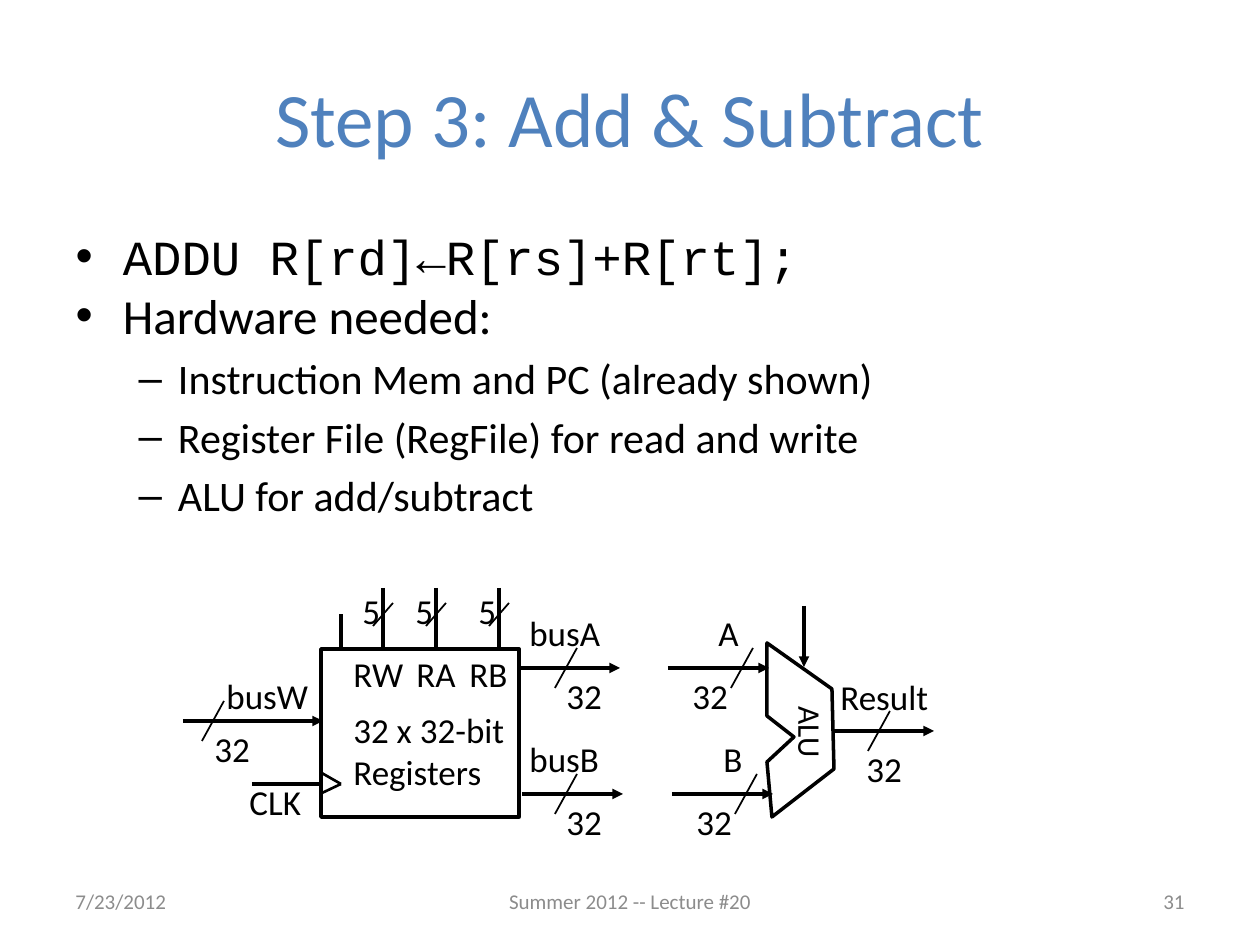
from itertools import pairwise
from lxml import etree
from pptx import Presentation
from pptx import util as u
from pptx.dml.color import RGBColor
from pptx.enum import shapes, text
from pptx.oxml.ns import qn

BLACK = RGBColor(0, 0, 0)
BLUE = RGBColor(0x4F, 0x81, 0xBD)
GRAY = RGBColor(0x8C, 0x8C, 0x8C)
SCALE = u.Inches(1) // 126
LEFT, MID, RIGHT = text.PP_ALIGN.LEFT, text.PP_ALIGN.CENTER, text.PP_ALIGN.RIGHT


def px(*vals):
    """Turn pixels into EMU."""
    return [u.Emu(round(v * SCALE)) for v in vals]


def place(shape, *box):
    """Put a shape in a pixel box."""
    shape.left, shape.top, shape.width, shape.height = px(*box)


def style(para, size, color=BLACK, face="Calibri"):
    """Format every run of a paragraph."""
    for run in para.runs:
        run.font.size, run.font.name = u.Pt(size), face
        run.font.color.rgb = color


def label(slide, words, x, y, w, h=54, size=20, color=BLACK, align=LEFT):
    """Add a text box on one or more unwrapped lines."""
    box = slide.shapes.add_textbox(*px(x, y, w, h))
    frame = box.text_frame
    frame.text = words
    frame.word_wrap = False
    for para in frame.paragraphs:
        para.alignment = align
        style(para, size, color)
    return box


def wire(slide, start, end, width=2, arrow=False):
    """Draw a straight line, with an arrowhead at its end if asked."""
    line = slide.shapes.add_connector(
        shapes.MSO_CONNECTOR.STRAIGHT, *px(*start, *end))
    line.line.color.rgb = BLACK
    line.line.width = u.Pt(width)
    if arrow:
        etree.SubElement(line.line._get_or_add_ln(), qn("a:tailEnd"),
                         type="triangle")
    etree.SubElement(line._element.spPr, qn("a:effectLst"))


def outline(shape):
    """Give a shape a plain black outline."""
    shape.shadow.inherit = False
    shape.fill.background()
    shape.line.color.rgb = BLACK
    shape.line.width = u.Pt(2)


def bus(slide, x, y, length, cut, num, name):
    """Draw a 32-bit bus: arrow, slash at cut, width and name by offset."""
    wire(slide, (x, y), (x + length, y), arrow=True)
    wire(slide, (x + cut + 11, y - 20), (x + cut - 11, y + 20), 1)
    label(slide, "32", x + num[0], y + num[1], 66)
    words, dx, dy, w = name
    label(slide, words, x + dx, y + dy, w)


def regs(slide, x, y):
    """Draw the register file with its ports and buses."""
    outline(slide.shapes.add_shape(
        shapes.MSO_SHAPE.RECTANGLE, *px(x, y, 198, 168)))
    bus(slide, x - 138, y + 72, 140, 30, (19, 0), ("busW", 31, -53, 108))
    bus(slide, x + 198, y + 19, 101, 47, (35, 0), ("busA", -2, -63, 98))
    bus(slide, x + 201, y + 145, 101, 44, (32, 0), ("busB", -5, -63, 97))
    wire(slide, (x + 20, y), (x + 20, y - 35))
    for port, dx, left, w in (("RW", 62, 20, 76), ("RA", 115, 83, 66),
                              ("RB", 178, 136, 63)):
        wire(slide, (x + dx, y - 61), (x + dx, y - 1))
        wire(slide, (x + dx - 10, y - 23), (x + dx + 10, y - 46), 1)
        label(slide, "5", x + dx - 33, y - 66, 43)
        label(slide, port, x + left, y - 3, w)
    label(slide, "32 x 32-bit\nRegisters", x + 20, y + 53, 178, 97)
    wire(slide, (x - 69, y + 135), (x - 2, y + 135))
    label(slide, "CLK", x - 84, y + 125, 77)
    notch = [(x - 1, y + 123), (x + 20, y + 135), (x - 1, y + 145)]
    for start, end in pairwise(notch):
        wire(slide, start, end, 1.5)


def alu(slide, x, y):
    """Draw the ALU with its inputs, control and result."""
    pts = [(0, 0), (65, 46), (67, 126), (5, 174), (0, 119), (27, 94), (0, 73)]
    dots = [px(x + a, y + b) for a, b in pts]
    form = slide.shapes.build_freeform(*dots[0])
    form.add_line_segments(dots[1:], close=True)
    outline(form.convert_to_shape())
    label(slide, "ALU", x + 5, y + 65, 78, 50, 18).rotation = 90
    bus(slide, x - 99, y + 25, 101, 74, (12, 0), ("A", 38, -63, 45))
    bus(slide, x - 95, y + 151, 101, 74, (12, 0), ("B", 39, -63, 44))
    bus(slide, x + 66, y + 88, 101, 46, (21, 10), ("Result", -5, -62, 117))
    wire(slide, (x + 37, y - 37), (x + 37, y + 24), arrow=True)


def heading(slide, x, y, w, h):
    """Fill the title."""
    title = slide.shapes.title
    place(title, x, y, w, h)
    title.text_frame.text = "Step 3: Add & Subtract"
    style(title.text_frame.paragraphs[0], 44, BLUE)


def points(slide, x, y, w, h):
    """Fill the bulleted list."""
    body = slide.placeholders[1]
    place(body, x, y, w, h)
    rows = [("ADDU R[rd]←R[rs]+R[rt];", 0, 28, "Courier New"),
            ("Hardware needed:", 0, 28, "Calibri"),
            ("Instruction Mem and PC (already shown)", 1, 24, "Calibri"),
            ("Register File (RegFile) for read and write", 1, 24, "Calibri"),
            ("ALU for add/subtract", 1, 24, "Calibri")]
    frame = body.text_frame
    frame.text = "\n".join(row[0] for row in rows)
    frame.auto_size = text.MSO_AUTO_SIZE.NONE
    for para, (_, level, size, face) in zip(frame.paragraphs, rows):
        para.level = level
        style(para, size, face=face)
    frame.paragraphs[1].space_before = u.Pt(0)


def footer(slide, x, y, w, h):
    """Add date, lecture and page number along the bottom."""
    for words, left, wide, align in (
            ("7/23/2012", x, 294, LEFT),
            ("Summer 2012 -- Lecture #20", x + (w - 400) / 2, 400, MID),
            ("31", x + w - 294, 294, RIGHT)):
        box = label(slide, words, left, y, wide, h, 12, GRAY, align)
        box.text_frame.word_wrap = True
        box.text_frame.vertical_anchor = text.MSO_ANCHOR.MIDDLE


def main():
    """Build the slide and save it."""
    deck = Presentation()
    deck.slide_width, deck.slide_height = px(1260, 945)
    slide = deck.slides.add_slide(deck.slide_layouts[1])
    heading(slide, 63, 38, 1134, 157)
    points(slide, 63, 220, 1134, 680)
    footer(slide, 63, 876, 1134, 50)
    regs(slide, 321, 649)
    alu(slide, 767, 643)
    deck.save("out.pptx")


main()
